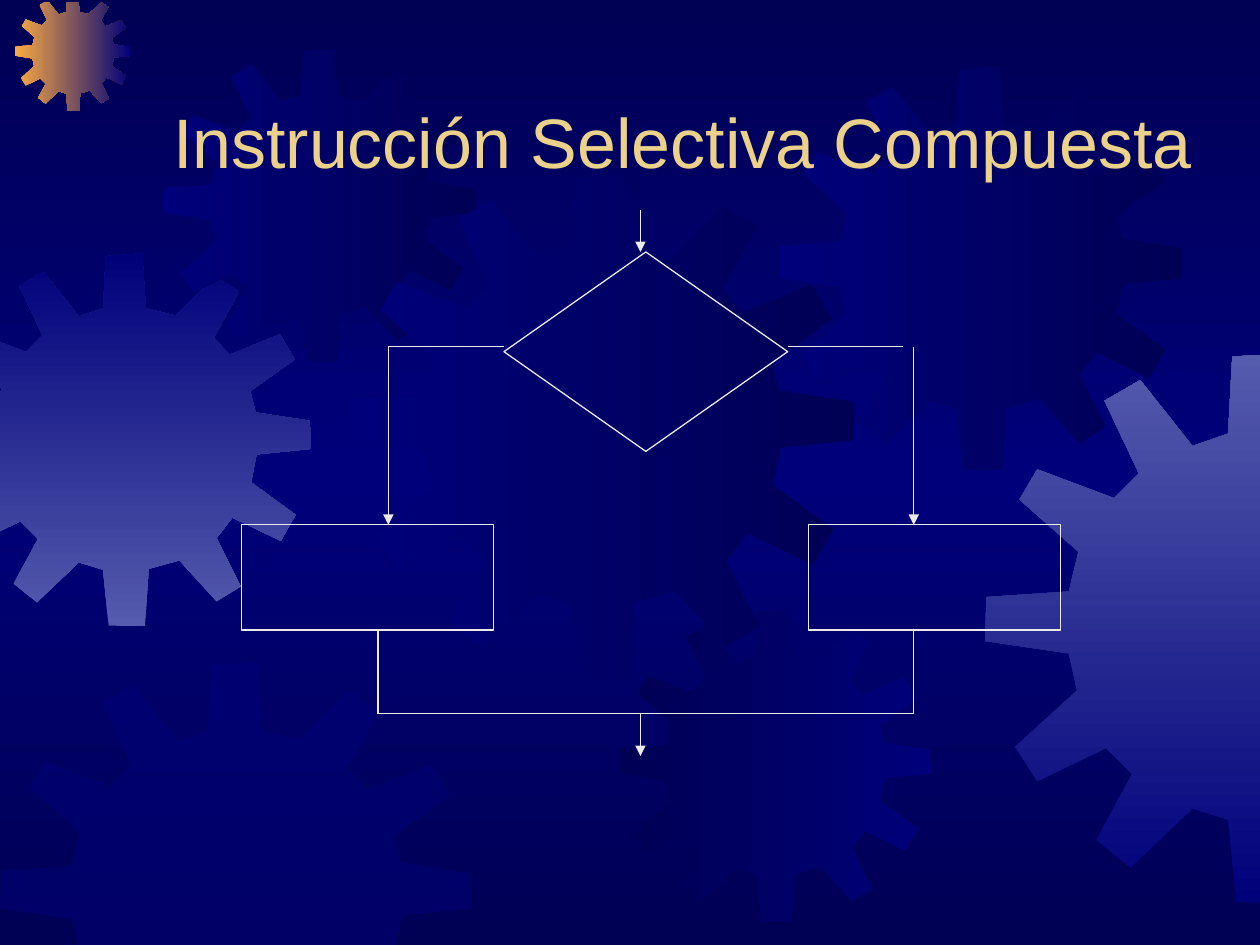
from lxml.etree import SubElement
from pptx import Presentation
from pptx.dml.color import RGBColor
from pptx.enum.shapes import MSO_CONNECTOR, MSO_SHAPE
from pptx.enum.text import MSO_ANCHOR, MSO_AUTO_SIZE, PP_ALIGN
from pptx.oxml.ns import qn
from pptx.util import Cm, Pt

COLORS = {
    "night": "000054",
    "navy": "00007A",
    "haze": "555BAD",
    "orange": "FCAB40",
    "title": "EBD189",
    "line": "EAEAEA",
}

# Gear outline on a square of GEAR_UNITS a side
GEAR_UNITS = 401
GEAR = [
    (255, 67), (223, 59), (219, 0), (180, 3), (177, 59), (151, 68), (113, 20), (87, 35),
    (112, 88), (94, 106), (38, 85), (25, 107), (68, 145), (61, 174), (1, 178), (0, 210),
    (61, 219), (67, 246), (22, 287), (38, 312), (88, 288), (107, 307), (81, 355), (106, 375),
    (151, 332), (177, 340), (183, 400), (222, 401), (226, 339), (259, 330), (299, 374), (325, 358),
    (299, 306), (316, 284), (368, 309), (384, 281), (336, 246), (342, 216), (401, 210), (400, 180),
    (341, 171), (335, 148), (383, 114), (367, 87), (313, 109), (296, 91), (323, 41), (297, 25),
]

# Left, top and size in cm, gradient colours, clockwise angle
GEARS = [
    (-1.24, 5.11, 7.52, ("haze", "navy"), 270),
    (0.3, -0.1, 2.34, ("orange", "navy"), 0),
    (3.3, 0.99, 6.3, ("night", "navy"), 180),
    (7.04, 3.53, 10.19, ("navy", "night"), 0),
    (0, 13.34, 9.5, ("navy",), 0),
    (12.47, 12.29, 6.3, ("night", "navy"), 0),
    (15.7, 1.35, 8.13, ("navy", "night"), 0),
    (19.86, 7.11, 11.1, ("navy", "haze"), 270),
]

# Axis, limit in cm and the side of it that is kept
EDGES = [(0, -0.02, 1), (0, 25.42, -1), (1, 0.05, 1), (1, 19.15, -1)]


def clip(points):
    """Cut a polygon at the slide edges."""
    for axis, limit, side in EDGES:
        kept = []
        for start, end in zip(points[-1:] + points[:-1], points):
            before, after = ((point[axis] - limit) * side for point in (start, end))
            if (before >= 0) != (after >= 0):
                ratio = before / (before - after)
                kept.append(tuple(a + (b - a) * ratio for a, b in zip(start, end)))
            if after >= 0:
                kept.append(end)
        points = kept
    return points


class SlideBuilder:
    font = "Arial"
    line_width = Pt(0.75)

    def __init__(self, slide):
        self.slide = slide
        self.shapes = slide.shapes

    def color(self, name):
        return RGBColor.from_string(COLORS[name])

    def gradient(self, fill, owner, names, angle):
        fill.gradient()
        fill.gradient_angle = (360 - angle) % 360
        stops = owner.find(".//" + qn("a:gsLst"))
        for stop in list(stops):
            stops.remove(stop)
        for index, name in enumerate(names):
            position = 100000 * index // (len(names) - 1)
            stop = SubElement(stops, qn("a:gs"), pos=str(position))
            SubElement(stop, qn("a:srgbClr"), val=COLORS[name])

    def background(self, names, angle):
        self.gradient(self.slide.background.fill, self.slide.element, names, angle)

    def gear(self, left, top, size, names, angle):
        scale = size / GEAR_UNITS
        outline = clip([(left + x * scale, top + y * scale) for x, y in GEAR])
        points = [(Cm(x), Cm(y)) for x, y in outline]
        builder = self.shapes.build_freeform(*points[0])
        builder.add_line_segments(points[1:], close=True)
        shape = builder.convert_to_shape()
        shape.shadow.inherit = False
        shape.line.fill.background()
        if len(names) > 1:
            self.gradient(shape.fill, shape.element, names, angle)
        else:
            shape.fill.solid()
            shape.fill.fore_color.rgb = self.color(names[0])
            tint = shape.element.find(".//" + qn("a:srgbClr"))
            SubElement(tint, qn("a:alpha"), val="50000")

    def title(self, text, left, top, width, height):
        shape = self.shapes.title
        shape.left, shape.top, shape.width, shape.height = map(Cm, (left, top, width, height))
        shape.element.getparent().append(shape.element)  # in front of the gears
        frame = shape.text_frame
        frame.word_wrap = True
        frame.auto_size = MSO_AUTO_SIZE.NONE
        frame.vertical_anchor = MSO_ANCHOR.BOTTOM
        paragraph = frame.paragraphs[0]
        paragraph.alignment = PP_ALIGN.CENTER
        run = paragraph.add_run()
        run.text = text
        run.font.name = self.font
        run.font.size = Pt(40)
        run.font.color.rgb = self.color("title")

    def stroke(self, line):
        line.color.rgb = self.color("line")
        line.width = self.line_width

    def box(self, kind, left, top, width, height):
        shape = self.shapes.add_shape(kind, Cm(left), Cm(top), Cm(width), Cm(height))
        shape.shadow.inherit = False
        shape.fill.background()
        self.stroke(shape.line)

    def connector(self, x1, y1, x2, y2, arrow=False):
        connector = self.shapes.add_connector(
            MSO_CONNECTOR.STRAIGHT, Cm(x1), Cm(y1), Cm(x2), Cm(y2))
        self.stroke(connector.line)
        properties = connector.element.find(qn("p:spPr"))
        if arrow:
            SubElement(properties.find(qn("a:ln")), qn("a:tailEnd"), type="triangle")
        SubElement(properties, qn("a:effectLst"))


def main():
    presentation = Presentation()
    presentation.slide_width, presentation.slide_height = Cm(25.4), Cm(19.05)
    builder = SlideBuilder(presentation.slides.add_slide(presentation.slide_layouts[5]))

    # Backdrop
    builder.background(("night", "navy", "night"), 90)
    for gear in GEARS:
        builder.gear(*gear)

    builder.title("Instrucción Selectiva Compuesta", 2.96, 1.48, 21.59, 2.33)

    # Decision and the two branch boxes
    branch_y, box_top, box_bottom, join_y = 6.99, 10.58, 12.7, 14.39
    center, left_branch, right_branch, left_exit = 12.91, 7.83, 18.42, 7.62
    builder.box(MSO_SHAPE.FLOWCHART_DECISION, 10.16, 5.08, 5.72, 4.02)
    for left in (4.87, 16.3):
        builder.box(MSO_SHAPE.RECTANGLE, left, box_top, 5.08, box_bottom - box_top)

    # Branches out of the decision
    builder.connector(10.16, branch_y, left_branch, branch_y)
    builder.connector(18.2, branch_y, 15.88, branch_y)
    for x in (left_branch, right_branch):
        builder.connector(x, branch_y, x, box_top, arrow=True)

    # Branches joining again
    for x in (left_exit, right_branch):
        builder.connector(x, box_bottom, x, join_y)
    builder.connector(left_exit, join_y, right_branch, join_y)

    # Entry and exit
    for start, end in ((4.23, 5.08), (join_y, 15.24)):
        builder.connector(center, start, center, end, arrow=True)

    presentation.save("out.pptx")


if __name__ == "__main__":
    main()
